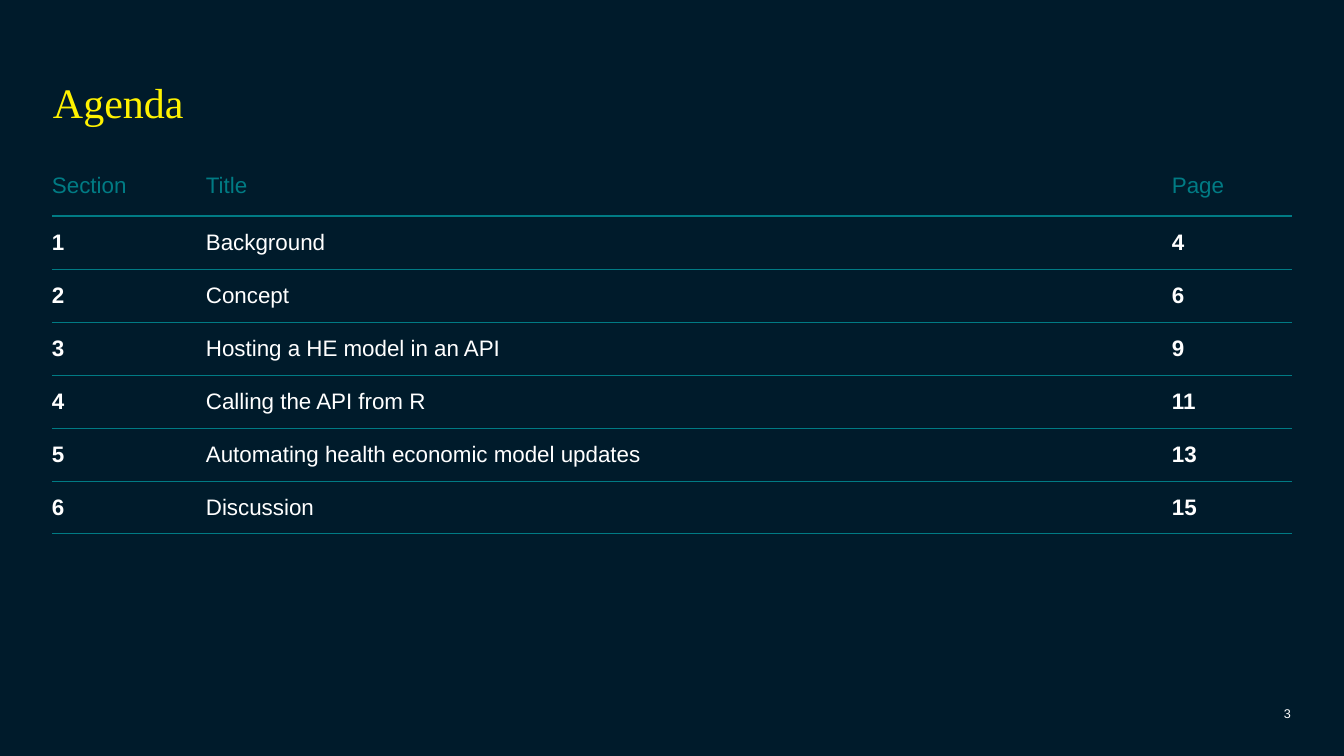
from dataclasses import dataclass
from typing import Optional

from lxml.etree import SubElement
from pptx import Presentation
from pptx.dml.color import RGBColor
from pptx.enum.text import MSO_ANCHOR as Anchor, PP_ALIGN as Align
from pptx.oxml.ns import qn
from pptx.util import Emu, Inches, Pt

PX = Inches(7.5) / 756
NAVY = RGBColor(0x00, 0x1B, 0x2B)
TEAL = RGBColor(0x00, 0x7B, 0x84)
YELLOW = RGBColor(0xFF, 0xF2, 0x00)
WHITE = RGBColor(0xFF, 0xFF, 0xFF)
SANS, SERIF = "Arial", "Times New Roman"
COLUMN_WIDTHS = (144, 976, 120)
HEADER_HEIGHT, ROW_HEIGHT = 61, 53
THICK, THIN = 1, 0.5


@dataclass(frozen=True)
class Label:
    text: str
    left: int
    top: int
    width: int
    height: int
    font: str
    size: int
    color: RGBColor
    align: Align
    anchor: Anchor


@dataclass(frozen=True)
class Entry:
    title: str
    page: int


LABELS = (
    Label("3", 1244, 706, 47, 15, SANS, 9, WHITE, Align.RIGHT, Anchor.TOP),
    Label("Agenda", 53, 38, 1238, 89, SERIF, 30, YELLOW, Align.LEFT, Anchor.BOTTOM),
)
ENTRIES = (
    Entry("Background", 4),
    Entry("Concept", 6),
    Entry("Hosting a HE model in an API", 9),
    Entry("Calling the API from R", 11),
    Entry("Automating health economic model updates", 13),
    Entry("Discussion", 15),
)


def px(length: int) -> Emu:
    return Emu(round(length * PX))


def style_text(para, font: str, size: int, color: RGBColor, bold: bool = False) -> None:
    for span in para.runs:
        span.font.name = font
        span.font.size = Pt(size)
        span.font.color.rgb = color
        span.font.bold = bold


def add_label(page, label: Label) -> None:
    box = page.shapes.add_textbox(
        px(label.left), px(label.top), px(label.width), px(label.height)
    )
    frame = box.text_frame
    frame.word_wrap = True
    frame.margin_left = frame.margin_right = frame.margin_top = frame.margin_bottom = 0
    frame.vertical_anchor = label.anchor
    frame.text = label.text
    para = frame.paragraphs[0]
    para.alignment = label.align
    style_text(para, label.font, label.size, label.color)


def set_border(cell, side: str, points: Optional[float]) -> None:
    properties = cell._tc.get_or_add_tcPr()
    line = SubElement(properties, qn(f"a:ln{side}"), w=str(Pt(points or 0)))
    if points is None:
        SubElement(line, qn("a:noFill"))
    else:
        fill = SubElement(line, qn("a:solidFill"))
        SubElement(fill, qn("a:srgbClr"), val=str(TEAL))


def add_agenda(page, entries: tuple[Entry, ...]) -> None:
    rows = [("Section", "Title", "Page")]
    rows += [(str(n), entry.title, str(entry.page)) for n, entry in enumerate(entries, 1)]
    heights = [HEADER_HEIGHT] + [ROW_HEIGHT] * len(entries)
    rules = [None, THICK] + [THIN] * (len(entries) - 1) + [THICK]
    table = page.shapes.add_table(
        len(rows), len(COLUMN_WIDTHS), px(52), px(155),
        px(sum(COLUMN_WIDTHS)), px(sum(heights)),
    ).table
    table.first_row = table.horz_banding = False
    for column, width in zip(table.columns, COLUMN_WIDTHS):
        column.width = px(width)
    for r, texts in enumerate(rows):
        table.rows[r].height = px(heights[r])
        for c, text in enumerate(texts):
            cell = table.cell(r, c)
            is_title = c == 1
            cell.text_frame.text = text
            cell.vertical_anchor = Anchor.MIDDLE
            cell.margin_left = px(10 if is_title else 0)
            borders = {"L": None, "R": None, "T": rules[r], "B": rules[r + 1]}
            for side, points in borders.items():
                set_border(cell, side, points)
            cell.fill.background()
            color = WHITE if r else TEAL
            style_text(cell.text_frame.paragraphs[0], SANS, 16, color, r > 0 and not is_title)


def main() -> None:
    """Build the agenda slide and save it."""
    deck = Presentation()
    deck.slide_width, deck.slide_height = px(1344), px(756)
    page = deck.slides.add_slide(deck.slide_layouts[6])
    page.background.fill.solid()
    page.background.fill.fore_color.rgb = NAVY
    add_agenda(page, ENTRIES)
    for label in LABELS:
        add_label(page, label)
    deck.save("out.pptx")


if __name__ == "__main__":
    main()
